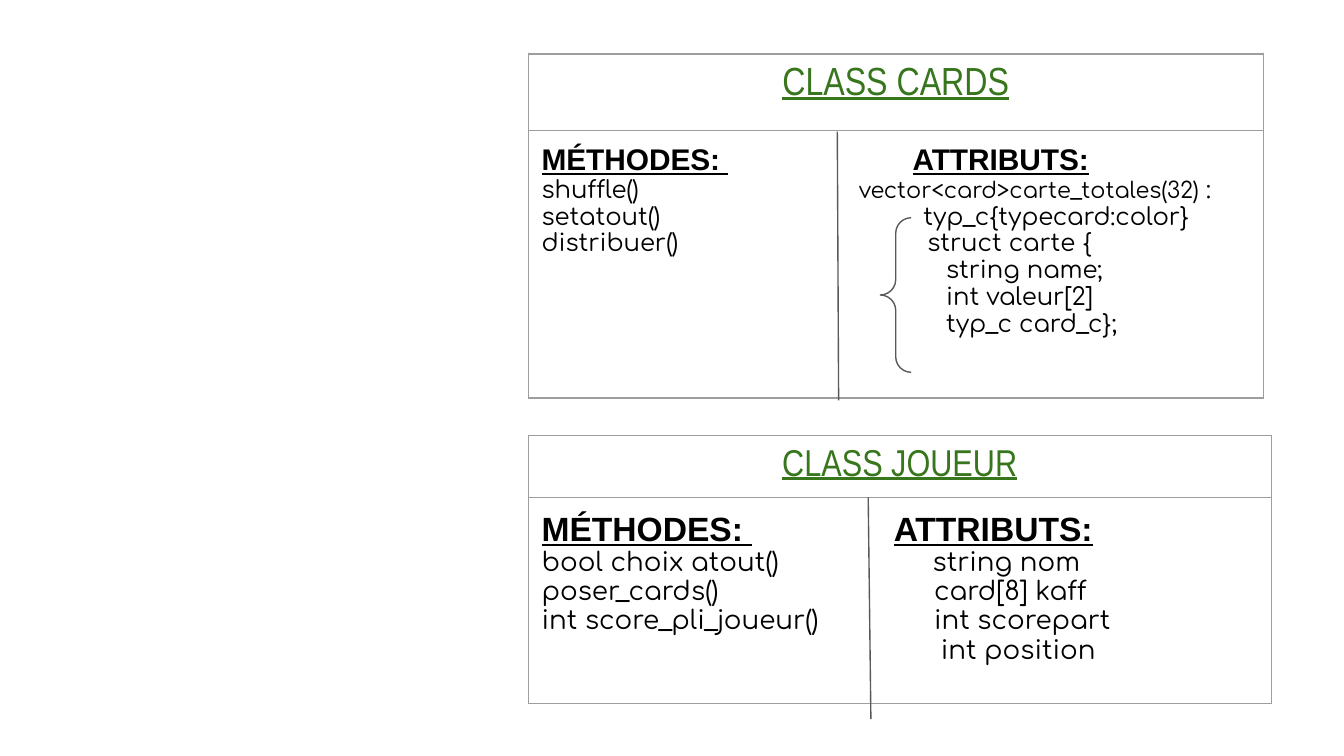
"""Build a slide describing two classes with their methods and attributes."""
from lxml.etree import SubElement
from pptx import Presentation
from pptx.dml.color import RGBColor
from pptx.enum.shapes import MSO_CONNECTOR as Connector, MSO_SHAPE as Shape
from pptx.enum.text import PP_ALIGN as Align
from pptx.oxml.ns import qn
from pptx.util import Inches, Pt

GREEN = RGBColor(0x38, 0x76, 0x1D)
BLACK = RGBColor(0x00, 0x00, 0x00)
DARK_GREY = RGBColor(0x59, 0x59, 0x59)
BORDER_GREY = RGBColor(0x9E, 0x9E, 0x9E)

SLIDE_WIDTH = 10
SLIDE_HEIGHT = SLIDE_WIDTH * 9 / 16
TABLE_LEFT = 3.93
MARGIN = 0.1
THIN, THICK = 0.75, 1.5
BRACE = (6.55, 1.62, 0.23, 1.15)

CLASSES = [
    {
        "title": "CLASS CARDS", "title_size": 21, "heading_size": 16, "body_size": 13,
        "top": 0.4, "width": 5.47, "rows": (0.57, 1.99), "top_border": THICK,
        "bottom_border": THICK, "divider": (6.23, 0.98, 6.24, 2.98), "heading_tab": 2.76,
        "members": [
            ("shuffle()", 2.36, [("vector<card>carte_totales(32)", 12), (" :", 13)]),
            ("setatout()", 2.84, [("typ_c{typecard:color}", 13)]),
            ("distribuer()", 2.87, [("struct carte {", 13)]),
            ("", 3.01, [("string name;", 13)]),
            ("", 3.01, [("int valeur[2]", 13)]),
            ("", 3.01, [("typ_c card_c};", 13)]),
        ],
    },
    {
        "title": "CLASS JOUEUR", "title_size": 20, "heading_size": 18, "body_size": 14,
        "top": 3.24, "width": 5.53, "rows": (0.46, 1.53), "top_border": THIN,
        "bottom_border": THIN, "divider": (6.46, 3.7, 6.48, 5.35), "heading_tab": 2.62,
        "members": [
            ("bool choix atout()", 2.91, [("string nom", 14)]),
            ("poser_cards()", 2.92, [("card[8] kaff", 14)]),
            ("int score_pli_joueur()", 2.92, [("int scorepart", 14)]),
            ("", 2.97, [("int position", 14)]),
        ],
    },
]


def add_run(paragraph, text, size, font, color=BLACK, bold=False, underline=False):
    run = paragraph.add_run()
    run.text = text
    run.font.size = Pt(size)
    run.font.name = font
    run.font.color.rgb = color
    run.font.bold = bold
    run.font.underline = underline


def set_tab(paragraph, position):
    tabs = SubElement(paragraph._p.get_or_add_pPr(), qn("a:tabLst"))
    SubElement(tabs, qn("a:tab"), pos=str(Inches(position)), algn="l")


def format_cell(cell, top, bottom):
    cell.margin_left = cell.margin_right = Inches(MARGIN)
    cell.margin_top = cell.margin_bottom = Inches(MARGIN)
    properties = cell._tc.get_or_add_tcPr()
    for side, width in (("L", THIN), ("R", THIN), ("T", top), ("B", bottom)):
        line = SubElement(properties, qn(f"a:ln{side}"), w=str(Pt(width)))
        fill = SubElement(line, qn("a:solidFill"))
        SubElement(fill, qn("a:srgbClr"), val=str(BORDER_GREY))
    cell.fill.background()


def add_class_table(slide, item):
    frame = slide.shapes.add_table(
        2, 1, Inches(TABLE_LEFT), Inches(item["top"]),
        Inches(item["width"]), Inches(sum(item["rows"])))
    table = frame.table
    table.first_row = table.horz_banding = False
    for row, height in zip(table.rows, item["rows"]):
        row.height = Inches(height)
    title_cell, member_cell = table.cell(0, 0), table.cell(1, 0)
    format_cell(title_cell, item["top_border"], THIN)
    format_cell(member_cell, THIN, item["bottom_border"])

    title = title_cell.text_frame.paragraphs[0]
    title.alignment = Align.CENTER
    add_run(title, item["title"], item["title_size"], "Arial Narrow", GREEN, underline=True)

    text_frame = member_cell.text_frame
    heading, size = text_frame.paragraphs[0], item["heading_size"]
    set_tab(heading, item["heading_tab"])
    add_run(heading, "MÉTHODES: ", size, "Arial", bold=True, underline=True)
    add_run(heading, "\t", size, "Arial")
    add_run(heading, "ATTRIBUTS:", size, "Arial", bold=True, underline=True)
    for method, tab, attribute in item["members"]:
        paragraph = text_frame.add_paragraph()
        set_tab(paragraph, tab)
        for text, size in [(method + "\t", item["body_size"]), *attribute]:
            add_run(paragraph, text, size, "Comfortaa")


def add_divider(slide, ends):
    divider = slide.shapes.add_connector(Connector.STRAIGHT, *map(Inches, ends))
    divider.line.color.rgb = DARK_GREY
    divider.line.width = Pt(THIN)
    SubElement(divider._element.spPr, qn("a:effectLst"))


def add_brace(slide):
    brace = slide.shapes.add_shape(Shape.LEFT_BRACE, *map(Inches, BRACE))
    brace.adjustments[0] = brace.adjustments[1] = 0.5
    brace.shadow.inherit = False
    brace.fill.background()
    brace.line.color.rgb = DARK_GREY
    brace.line.width = Pt(THIN)


def main():
    presentation = Presentation()
    presentation.slide_width = Inches(SLIDE_WIDTH)
    presentation.slide_height = Inches(SLIDE_HEIGHT)
    slide = presentation.slides.add_slide(presentation.slide_layouts[6])
    for item in CLASSES:
        add_class_table(slide, item)
        add_divider(slide, item["divider"])
    add_brace(slide)
    presentation.save("out.pptx")


if __name__ == "__main__":
    main()
